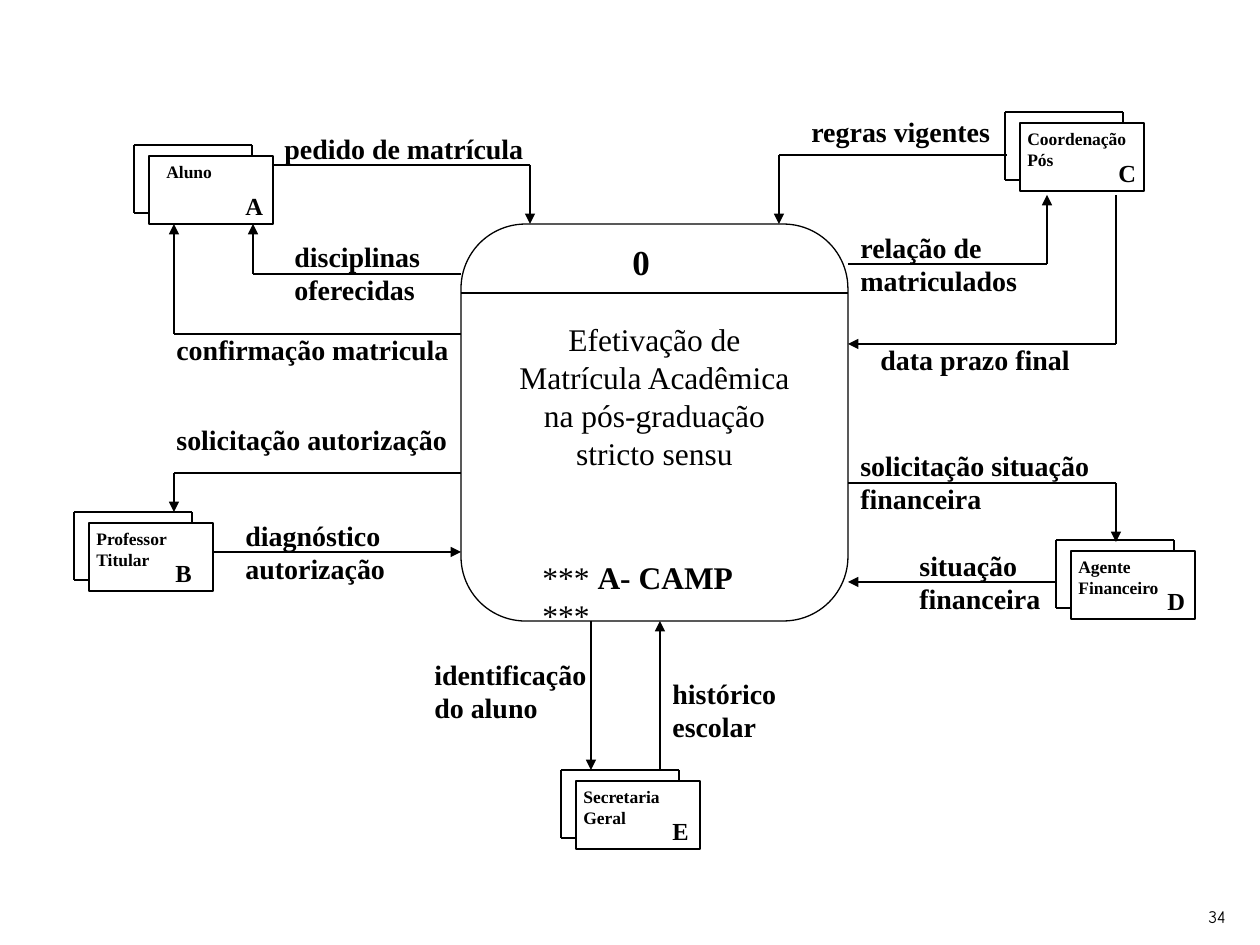
from lxml.etree import SubElement
from pptx import Presentation
from pptx.dml.color import RGBColor
from pptx.enum.shapes import MSO_CONNECTOR, MSO_SHAPE
from pptx.enum.text import MSO_AUTO_SIZE, PP_ALIGN
from pptx.oxml.ns import qn
from pptx.util import Emu, Pt

EMU_PER_PX = 914400 / 126
INK = "000000"
SERIF = "Times New Roman"

# Front box left and top, name, letter, left and width of the name, left of the letter
ENTITIES = [
    (149, 156, "Aluno", "A", 5, 97, 84),
    (89, 523, "Professor Titular", "B", -5, 97, 74),
    (1020, 123, "Coordenação Pós", "C", -5, 129, 86),
    (576, 781, "Secretaria Geral", "E", -5, 110, 84),
    (1071, 551, "Agente Financeiro", "D", -5, 110, 84),
]

# Label, its box, and the points of the arrow
FLOWS = [
    ("pedido de matrícula", (272, 125, 268, 47), [(272, 165), (530, 165), (530, 224)]),
    ("disciplinas oferecidas", (282, 233, 159, 81), [(461, 274), (253, 274), (253, 224)]),
    ("confirmação matricula", (164, 326, 307, 47), [(461, 334), (174, 334), (174, 224)]),
    ("solicitação autorização", (164, 416, 297, 47), [(461, 473), (174, 473), (174, 512)]),
    ("diagnóstico autorização", (233, 512, 169, 81), [(213, 552), (461, 552)]),
    ("identificação do aluno", (422, 651, 189, 81), [(591, 621), (591, 770)]),
    ("histórico escolar", (660, 670, 169, 81), [(660, 770), (660, 621)]),
    ("regras vigentes", (799, 108, 208, 47), [(1007, 155), (779, 155), (779, 224)]),
    ("relação de matriculados", (848, 224, 198, 81), [(848, 264), (1047, 264), (1047, 195)]),
    ("data prazo final", (868, 336, 248, 47), [(1116, 195), (1116, 344), (848, 344)]),
    ("solicitação situação financeira", (848, 442, 277, 81),
     [(848, 483), (1116, 483), (1116, 542)]),
    ("situação financeira", (907, 542, 218, 81), [(1057, 582), (848, 582)]),
]


def px(value):
    return Emu(round(value * EMU_PER_PX))


def color(code):
    return RGBColor.from_string(code)


def add_text(page, box, runs, size, font=SERIF, align=PP_ALIGN.LEFT, grow=True):
    """Place one paragraph made of (text, bold) runs."""
    frame = page.shapes.add_textbox(*map(px, box)).text_frame
    frame.word_wrap = True
    frame.auto_size = MSO_AUTO_SIZE.SHAPE_TO_FIT_TEXT if grow else MSO_AUTO_SIZE.NONE
    para = frame.paragraphs[0]
    para.alignment = align
    para.space_before = Pt(size * 0.625 if grow else 0)
    for text, bold in runs:
        span = para.add_run()
        span.text = text
        span.font.name = font
        span.font.size = Pt(size)
        span.font.bold = bold
        span.font.color.rgb = color(INK)


def add_outline(page, kind, box):
    shape = page.shapes.add_shape(kind, *map(px, box))
    shape.shadow.inherit = False
    shape.fill.background()
    shape.line.color.rgb = color(INK)
    shape.line.width = Pt(0.75)


def add_path(page, points, arrow=False):
    """Join the points with straight lines, the last one with an arrowhead if asked."""
    for start, end in zip(points, points[1:]):
        line = page.shapes.add_connector(MSO_CONNECTOR.STRAIGHT, *map(px, start + end))
        line.line.color.rgb = color(INK)
        line.line.width = Pt(0.75)
        if arrow and end == points[-1]:
            SubElement(line.line._get_or_add_ln(), qn("a:tailEnd"), type="triangle")
        SubElement(line._element.spPr, qn("a:effectLst"))


def add_process(page, box):
    left, top, width, height = box
    add_outline(page, MSO_SHAPE.FLOWCHART_ALTERNATE_PROCESS, box)
    add_path(page, [(left, top + 69), (left + width, top + 69)])
    add_text(page, (left + 159, top + 10, 49, 55), [("0", True)], 20)
    add_text(page, (left + 40, top + 90, 307, 164),
             [("Efetivação de Matrícula Acadêmica na pós-graduação stricto sensu", False)],
             18, align=PP_ALIGN.CENTER)
    add_text(page, (left + 69, top + 328, 258, 88),
             [("*** ", False), ("A- CAMP", True), (" ***", False)], 18)


def add_entity(page, box, name, letter, name_left, name_width, letter_left):
    """Draw a box with the edges of a second box showing behind it."""
    left, top, width, height = box
    back_left, back_top = left - 15, top - 11
    back_right, back_bottom = back_left + width - 6, back_top + height
    add_path(page, [(left, back_bottom), (back_left, back_bottom), (back_left, back_top),
                    (back_right, back_top), (back_right, top)])
    add_outline(page, MSO_SHAPE.RECTANGLE, box)
    add_text(page, (left + name_left, top - 1, name_width, 39), [(name, True)], 10, grow=False)
    add_text(page, (left + letter_left, top + 29, 49, 43), [(letter, True)], 14)


def add_flow(page, label, box, points):
    add_text(page, box, [(label, True)], 16)
    add_path(page, points, arrow=True)


def main():
    deck = Presentation()
    deck.slide_width, deck.slide_height = px(1260), px(945)
    page = deck.slides.add_slide(deck.slide_layouts[6])
    add_process(page, (461, 224, 387, 397))
    for left, top, *details in ENTITIES:
        add_entity(page, (left, top, 124, 68), *details)
    for flow in FLOWS:
        add_flow(page, *flow)
    add_text(page, (1196, 900, 49, 34), [("34", False)], 10, font="Comic Neue")
    deck.save("out.pptx")


if __name__ == "__main__":
    main()
